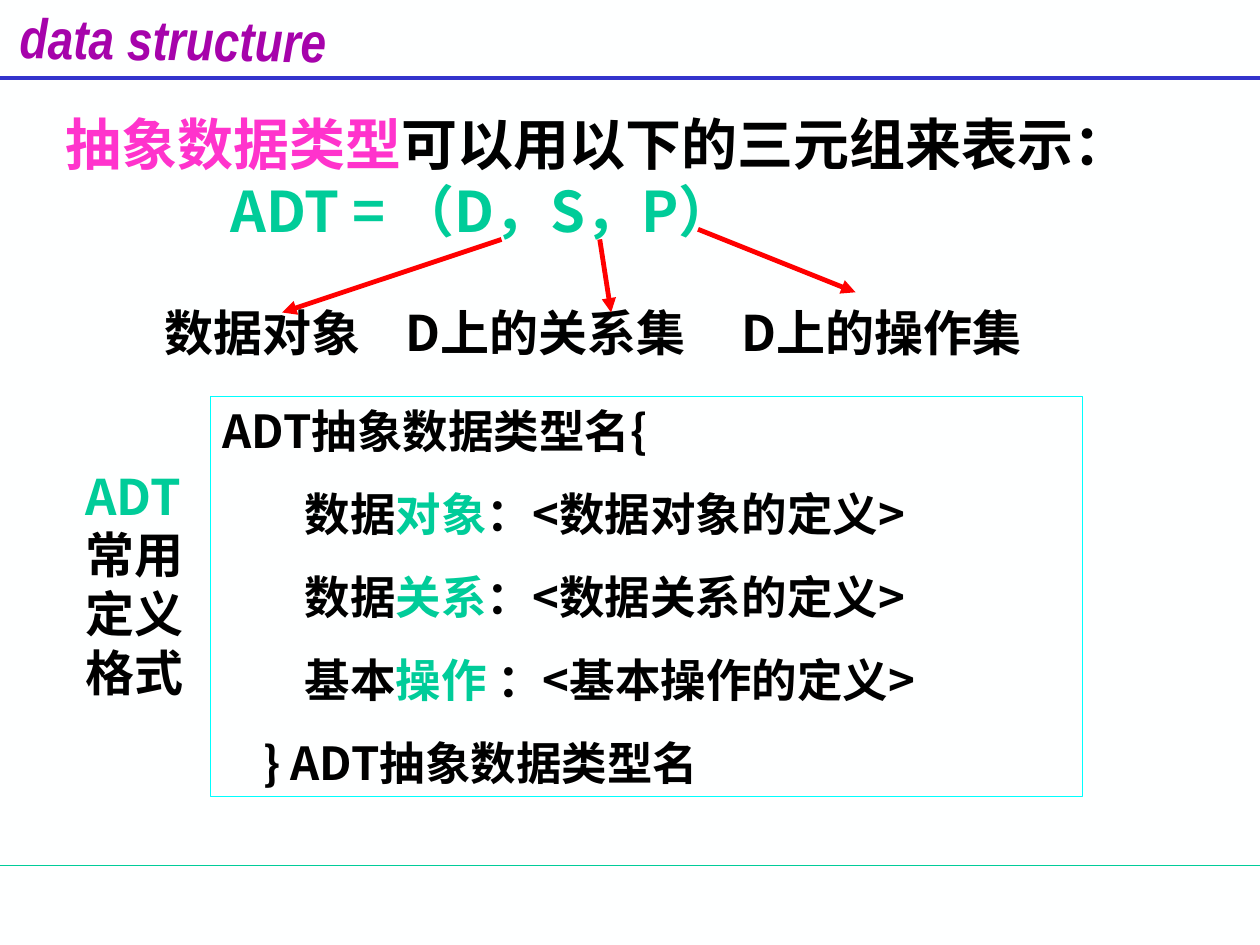
"""Build a slide that introduces the abstract data type triple and its definition format."""
from lxml.etree import SubElement
from pptx import Presentation
from pptx.dml.color import RGBColor
from pptx.enum.shapes import MSO_CONNECTOR, MSO_SHAPE
from pptx.enum.text import MSO_ANCHOR, PP_ALIGN
from pptx.oxml.ns import qn
from pptx.util import Inches, Pt

BACKGROUND = RGBColor(0xFE, 0xFF, 0xFF)
BLACK = RGBColor(0, 0, 0)
GREEN = RGBColor(0, 0xCC, 0x99)
BLUE = RGBColor(0x33, 0x33, 0xCC)
PURPLE = RGBColor(0xA6, 0x03, 0xAB)
PINK = RGBColor(0xFF, 0x33, 0xCC)
CYAN = RGBColor(0, 0xFF, 0xFF)
RED = RGBColor(0xFF, 0, 0)
CJK_FONT = "Noto Sans CJK SC"


def write(para, text, size=28, color=BLACK, font=CJK_FONT, italic=False):
    span = para.add_run()
    span.text = text
    span.font.size = Pt(size)
    span.font.bold = True
    span.font.italic = italic
    span.font.name = font
    span.font.color.rgb = color
    SubElement(span.font._element, qn("a:ea")).set("typeface", font)


def draw_line(start, end, color, width, arrow=False):
    line = page.shapes.add_connector(
        MSO_CONNECTOR.STRAIGHT, *(Inches(value) for value in start + end))
    line.line.color.rgb = color
    line.line.width = Pt(width)
    if arrow:
        SubElement(line.line._get_or_add_ln(), qn("a:tailEnd")).set("type", "triangle")
    SubElement(line._element.spPr, qn("a:effectLst"))


deck = Presentation()
deck.slide_width, deck.slide_height = Inches(10), Inches(7.5)
page = deck.slides.add_slide(deck.slide_layouts[6])
page.background.fill.solid()
page.background.fill.fore_color.rgb = BACKGROUND

draw_line((0, 6.87), (10, 6.87), GREEN, 0.75)
draw_line((0, 0.62), (10, 0.62), BLUE, 2.25)

title = page.shapes.add_textbox(Inches(0.06), Inches(-0.01), Inches(2.8), Inches(0.54))
title.rotation = 0.8
title.text_frame.word_wrap = True
write(title.text_frame.paragraphs[0], "data structure", size=32, color=PURPLE,
      font="Arial Narrow", italic=True)

triple = page.shapes.add_textbox(Inches(0.42), Inches(0.82), Inches(9.17), Inches(2.1))
triple.text_frame.word_wrap = True
intro = triple.text_frame.paragraphs[0]
write(intro, "抽象数据类型", size=32, color=PINK)
write(intro, "可以用以下的三元组来表示：", size=32)
formula = triple.text_frame.add_paragraph()
formula._p.get_or_add_pPr().set("marL", str(Inches(1.31)))
write(formula, "ADT = （D，S，P）", size=32, color=GREEN)
labels = triple.text_frame.add_paragraph()
labels.space_before = Pt(33.5)
tabs = SubElement(labels._p.get_or_add_pPr(), qn("a:tabLst"))
for position in (0.79, 2.7, 5.37):
    tab = SubElement(tabs, qn("a:tab"))
    tab.set("pos", str(Inches(position)))
    tab.set("algn", "l")
write(labels, "\t数据对象\tD上的关系集\tD上的操作集")

definition = page.shapes.add_shape(
    MSO_SHAPE.RECTANGLE, Inches(1.67), Inches(3.15), Inches(6.92), Inches(3.17))
definition.shadow.inherit = False
definition.fill.background()
definition.line.color.rgb = CYAN
definition.line.width = Pt(0.75)
frame = definition.text_frame
frame.word_wrap = True
frame.vertical_anchor = MSO_ANCHOR.TOP
rows = [
    (0, [("ADT抽象数据类型名{", BLACK)]),
    (0.65, [("数据", BLACK), ("对象", GREEN), ("：<数据对象的定义>", BLACK)]),
    (0.65, [("数据", BLACK), ("关系", GREEN), ("：<数据关系的定义>", BLACK)]),
    (0.65, [("基本", BLACK), ("操作", GREEN), (" ：<基本操作的定义>", BLACK)]),
    (0.32, [("} ADT抽象数据类型名", BLACK)]),
]
for index, (indent, parts) in enumerate(rows):
    para = frame.add_paragraph() if index else frame.paragraphs[0]
    para.alignment = PP_ALIGN.LEFT
    para._p.get_or_add_pPr().set("marL", str(Inches(indent)))
    if index:
        para.space_before = Pt(16.2)
    for text, color in parts:
        write(para, text, size=26, color=color)

caption = page.shapes.add_textbox(Inches(0.58), Inches(3.65), Inches(1.08), Inches(1.97))
caption.text_frame.word_wrap = True
write(caption.text_frame.paragraphs[0], "ADT", color=GREEN)
write(caption.text_frame.paragraphs[0], "常用定义格式")

for start, end in [((3.98, 1.9), (2.24, 2.48)),
                   ((4.76, 1.9), (4.85, 2.48)),
                   ((5.54, 1.82), (6.79, 2.32))]:
    draw_line(start, end, RED, 2.75, arrow=True)

deck.save("out.pptx")
